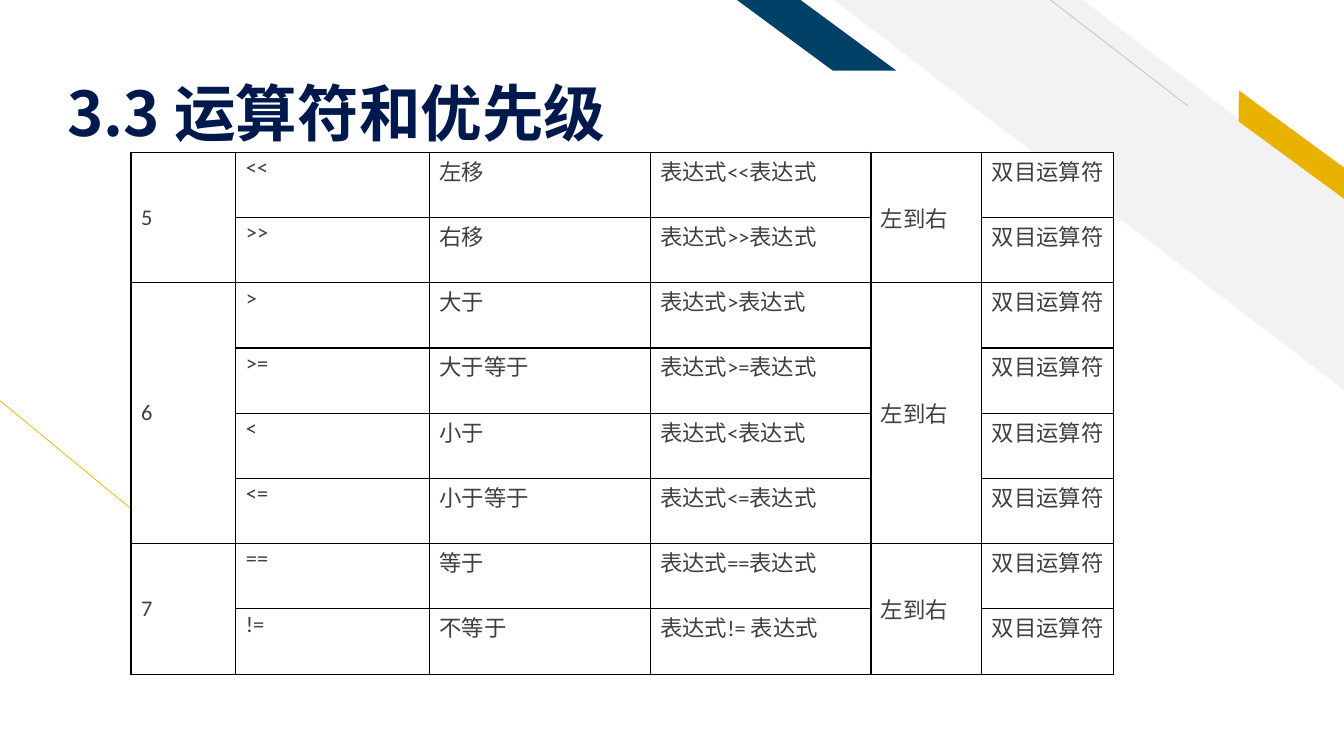
from lxml import etree
from pptx import Presentation
from pptx.dml.color import RGBColor
from pptx.enum.shapes import MSO_CONNECTOR, MSO_SHAPE
from pptx.enum.text import MSO_ANCHOR, PP_ALIGN
from pptx.oxml.ns import qn
from pptx.util import Inches, Pt

STRAIGHT = MSO_CONNECTOR.STRAIGHT
STRIPE, PARALLELOGRAM = MSO_SHAPE.DIAGONAL_STRIPE, MSO_SHAPE.PARALLELOGRAM
TOP, MIDDLE, BOTTOM = MSO_ANCHOR.TOP, MSO_ANCHOR.MIDDLE, MSO_ANCHOR.BOTTOM
JUSTIFY, LEFT = PP_ALIGN.JUSTIFY, PP_ALIGN.LEFT

# Precedence level, then its operators with their meanings
LEVELS = [
    ("5", [("<<", "左移"), (">>", "右移")]),
    ("6", [(">", "大于"), (">=", "大于等于"), ("<", "小于"), ("<=", "小于等于")]),
    ("7", [("==", "等于"), ("!=", "不等于")]),
]
COLUMN_WIDTHS = [7.8, 14.4, 16.43, 16.43, 8.25, 9.83]
ROW_HEIGHT = 8.63


def color(hex_string):
    return RGBColor.from_string(hex_string)


class SlideBuilder:
    """Draws on one slide; lengths are percentages of the slide's size."""

    NAVY, BLUE, GOLD = "00194C", "014067", "EAB200"
    PALE, GRAY, TEXT = "F2F2F2", "BFBFBF", "3F3F3F"
    WHITE, BLACK = "FFFFFF", "000000"
    LATIN, CHINESE = "Calibri", "Noto Sans CJK SC"

    def __init__(self, presentation):
        self.width = presentation.slide_width
        self.height = presentation.slide_height
        self.slide = presentation.slides.add_slide(presentation.slide_layouts[6])

    def x(self, share):
        return round(self.width * share / 100)

    def y(self, share):
        return round(self.height * share / 100)

    def box(self, left, top, width, height):
        return self.x(left), self.y(top), self.x(width), self.y(height)

    def line(self, start, end, line_color):
        connector = self.slide.shapes.add_connector(
            STRAIGHT, self.x(start[0]), self.y(start[1]), self.x(end[0]), self.y(end[1]))
        connector.line.color.rgb = color(line_color)
        connector.line.width = Pt(0.5)
        etree.SubElement(connector._element.spPr, qn("a:effectLst"))

    def flipped_shape(self, kind, box, adjustment, fill, rotation=0):
        shape = self.slide.shapes.add_shape(kind, *self.box(*box))
        shape.adjustments[0] = adjustment
        shape.rotation = rotation
        shape._element.spPr.find(qn("a:xfrm")).set("flipH", "1")
        shape.shadow.inherit = False
        shape.fill.solid()
        shape.fill.fore_color.rgb = color(fill)
        shape.line.fill.background()

    def add_text(self, paragraph, text, size, latin, text_color, align, bold=False):
        paragraph.alignment = align
        run = paragraph.add_run()
        run.text = text
        run.font.size = Pt(size)
        run.font.bold = bold
        run.font.name = latin
        run.font.color.rgb = color(text_color)
        east_asian = etree.SubElement(run.font._element, qn("a:ea"))
        east_asian.set("typeface", self.CHINESE)

    def title(self, text, box):
        frame = self.slide.shapes.add_textbox(*self.box(*box)).text_frame
        frame.word_wrap = True
        frame.vertical_anchor = BOTTOM
        frame.margin_bottom = 0
        paragraph = frame.paragraphs[0]
        paragraph.line_spacing = 0.9
        self.add_text(paragraph, text, 44, self.CHINESE, self.NAVY, LEFT, bold=True)

    def style_cell(self, cell):
        cell.margin_left = cell.margin_right = Inches(0.1)
        cell.margin_top = cell.margin_bottom = Inches(0.02)
        properties = cell._tc.get_or_add_tcPr()
        for side in ("lnL", "lnR", "lnT", "lnB"):
            border = etree.SubElement(properties, qn(f"a:{side}"), w=str(Pt(1)))
            fill = etree.SubElement(border, qn("a:solidFill"))
            etree.SubElement(fill, qn("a:srgbClr"), val=self.BLACK)
        cell.fill.solid()
        cell.fill.fore_color.rgb = color(self.WHITE)

    def cell_text(self, cell, text, anchor=TOP):
        cell.vertical_anchor = anchor
        self.add_text(cell.text_frame.paragraphs[0], text, 16, self.LATIN, self.TEXT, JUSTIFY)

    def operator_table(self, left, top, levels):
        row_count = sum(len(operators) for _, operators in levels)
        box = self.box(left, top, sum(COLUMN_WIDTHS), ROW_HEIGHT * row_count)
        table = self.slide.shapes.add_table(row_count, len(COLUMN_WIDTHS), *box).table
        table.first_row = table.horz_banding = False
        for column, width in zip(table.columns, COLUMN_WIDTHS):
            column.width = self.x(width)
        for cell in table.iter_cells():
            self.style_cell(cell)

        row = 0
        for level, operators in levels:
            # Level and direction span all operators of the level
            for column, text in ((0, level), (4, "左到右")):
                cell = table.cell(row, column)
                cell.merge(table.cell(row + len(operators) - 1, column))
                self.cell_text(cell, text, MIDDLE)
            for operator, meaning in operators:
                gap = " " if operator == "!=" else ""
                usage = f"表达式{operator}{gap}表达式"
                for column, text in ((1, operator), (2, meaning), (3, usage), (5, "双目运算符")):
                    self.cell_text(table.cell(row, column), text)
                row += 1


def main():
    presentation = Presentation()
    presentation.slide_width = Inches(13.33)
    presentation.slide_height = Inches(7.5)
    builder = SlideBuilder(presentation)

    # Background decoration
    builder.line((15.6, 75.87), (0, 53), builder.GOLD)
    builder.flipped_shape(STRIPE, (62.04, 0, 37.96, 51.6), 0.512, builder.PALE)
    builder.line((88.37, 14), (78.17, 0), builder.GRAY)
    builder.flipped_shape(PARALLELOGRAM, (90.55, 17.47, 11.1, 3.33), 0.72, builder.GOLD, 36.3)
    builder.flipped_shape(PARALLELOGRAM, (54.84, 0, 11.85, 9.33), 1.356, builder.BLUE)

    # Title and table
    builder.title("3.3 运算符和优先级", (4.28, 3.07, 68.34, 16.8))
    builder.operator_table(9.75, 20.13, LEVELS)

    presentation.save("out.pptx")


if __name__ == "__main__":
    main()
